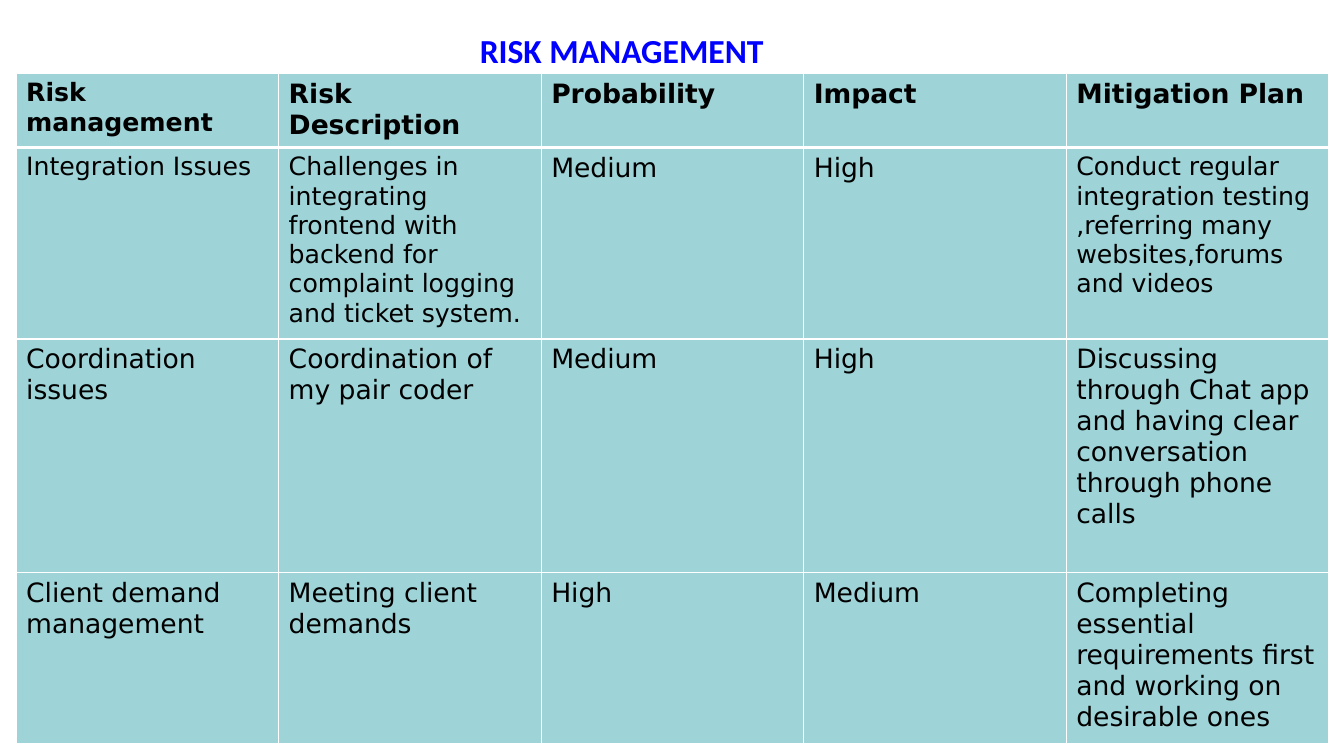
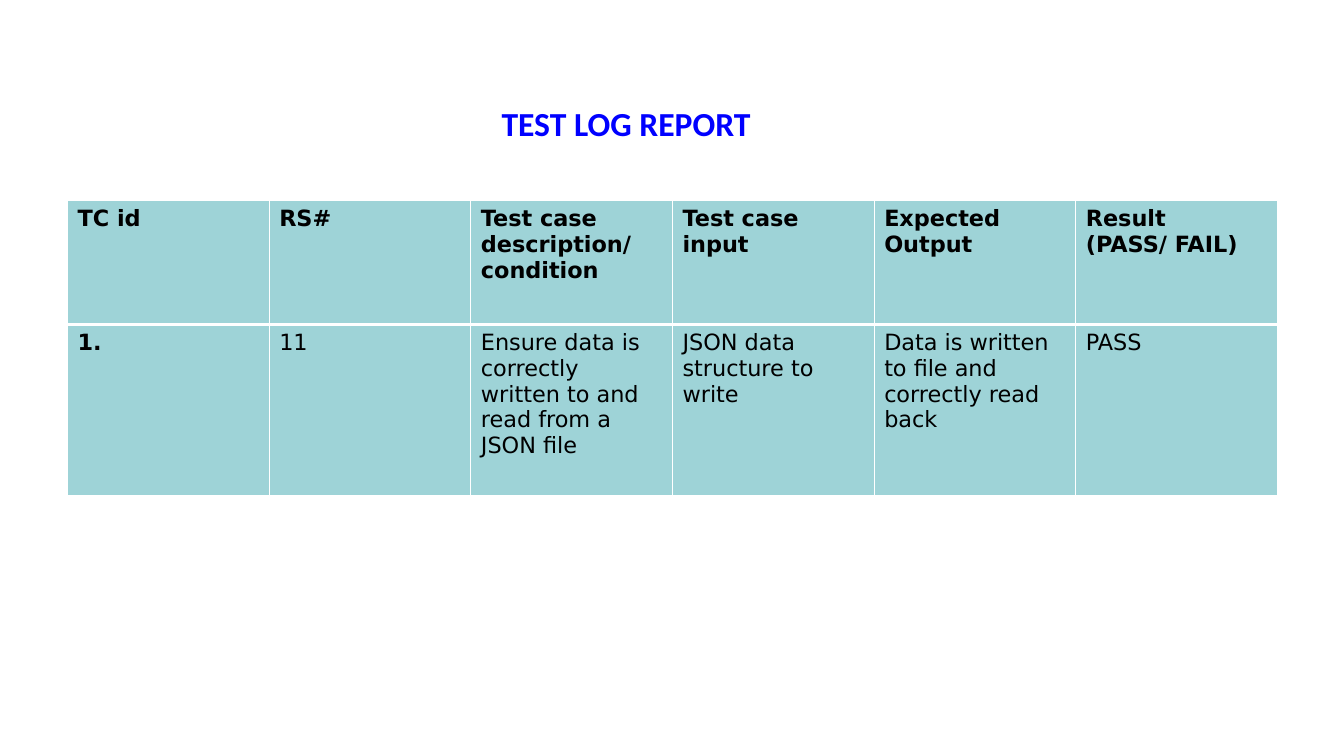
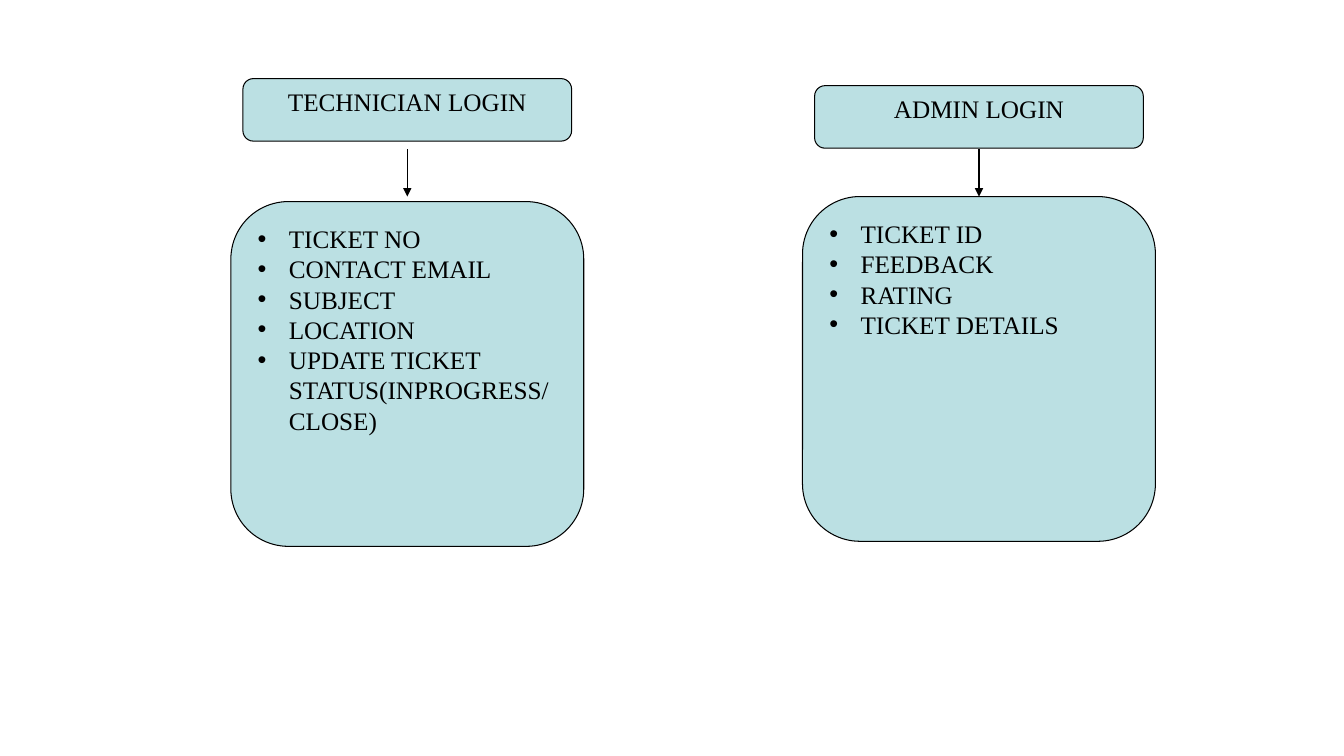
"""Build three project slides: a risk table, a test log and two login flows."""
from lxml import etree
from pptx import Presentation
from pptx.dml.color import RGBColor
from pptx.enum.shapes import MSO_CONNECTOR, MSO_SHAPE
from pptx.enum.text import MSO_ANCHOR, PP_ALIGN
from pptx.oxml.ns import qn
from pptx.util import Inches, Pt

LEFT, CENTER = PP_ALIGN.LEFT, PP_ALIGN.CENTER
TOP = MSO_ANCHOR.TOP
ROUNDED = MSO_SHAPE.ROUNDED_RECTANGLE
STRAIGHT = MSO_CONNECTOR.STRAIGHT

COLORS = {"title": "0000FF", "text": "000000", "cell": "9ED3D7",
          "border": "FFFFFF", "box": "BBE0E3", "line": "000000"}
TITLE_FONT = {"name": "Calibri", "size": Pt(24), "bold": True}
TABLE_FONT = {"name": "DejaVu Sans"}
FLOW_FONT = {"name": "Times New Roman", "size": Pt(18)}

TABLE_SLIDES = [
    {
        "title": "RISK MANAGEMENT",
        "title_at": (4.66, 0.25, 3.31, 0.5),
        "align": LEFT,
        "table_at": (0.16, 0.73, 13.02),
        "row_heights": [0.73, 1.9, 2.32, 1.69],
        "size": 19,
        "small_size": 18,
        "small_cells": {(0, 0), (1, 0), (1, 1), (1, 4)},
        "bold_cells": set(),
        "rows": [
            ["Risk management", "Risk Description", "Probability", "Impact",
             "Mitigation Plan"],
            ["Integration Issues",
             "Challenges in integrating frontend with backend for complaint "
             "logging and ticket system.",
             "Medium", "High",
             "Conduct regular integration testing\n"
             ",referring many websites,forums and videos"],
            ["Coordination issues", "Coordination of my pair coder", "Medium",
             "High",
             "Discussing through Chat app and having clear conversation "
             "through phone calls"],
            ["Client demand management", "Meeting client demands", "High",
             "Medium",
             "Completing essential requirements first and working on "
             "desirable ones"],
        ],
    },
    {
        "title": "TEST LOG REPORT",
        "title_at": (0.21, 0.97, 12, 0.75),
        "align": CENTER,
        "table_at": (0.67, 1.99, 12),
        "row_heights": [1.23, 1.7],
        "size": 16,
        "small_size": 16,
        "small_cells": set(),
        "bold_cells": {(1, 0)},
        "rows": [
            ["TC id", "RS#", "Test case description/\ncondition",
             "Test case input", "Expected\nOutput", "Result\n(PASS/ FAIL)"],
            ["1.", "11",
             "Ensure data is correctly written to and read from a JSON file",
             "JSON data structure to write",
             "Data is written to file and correctly read back", "PASS"],
        ],
    },
]

FLOWS = [
    {"center": 4.04, "label_top": 0.78, "box_top": 2,
     "label": "TECHNICIAN LOGIN",
     "items": ["TICKET NO", "CONTACT EMAIL", "SUBJECT", "LOCATION",
               "UPDATE TICKET STATUS(INPROGRESS/CLOSE)"]},
    {"center": 9.71, "label_top": 0.85, "box_top": 1.95,
     "label": "ADMIN LOGIN",
     "items": ["TICKET ID", "FEEDBACK", "RATING", "TICKET DETAILS"]},
]
LABEL_SIZE = (3.26, 0.62)
BOX_SIZE = (3.5, 3.42)
ARROW_SPAN = (1.48, 1.95)
BULLET_INDENT = 0.31


def color(name):
    return RGBColor.from_string(COLORS[name])


def write(frame, lines, font, color_name="text", align=LEFT):
    frame.word_wrap = True
    for index, line in enumerate(lines):
        paragraph = frame.add_paragraph() if index else frame.paragraphs[0]
        paragraph.alignment = align
        run = paragraph.add_run()
        run.text = line
        run.font.color.rgb = color(color_name)
        for attribute, value in font.items():
            setattr(run.font, attribute, value)


def set_borders(cell, bottom_width):
    properties = cell._tc.get_or_add_tcPr()
    widths = {"a:lnL": 1, "a:lnR": 1, "a:lnT": 1, "a:lnB": bottom_width}
    for position, (tag, width) in enumerate(widths.items()):
        border = etree.Element(qn(tag), w=str(Pt(width)))
        fill = etree.SubElement(border, qn("a:solidFill"))
        etree.SubElement(fill, qn("a:srgbClr"), val=COLORS["border"])
        properties.insert(position, border)


def add_title(slide, content):
    box = slide.shapes.add_textbox(*map(Inches, content["title_at"]))
    write(box.text_frame, [content["title"]], TITLE_FONT, "title",
          content["align"])


def add_table(slide, content):
    rows, heights = content["rows"], content["row_heights"]
    place = (*content["table_at"], sum(heights))
    table = slide.shapes.add_table(len(rows), len(rows[0]),
                                   *map(Inches, place)).table
    for row_index, (texts, height) in enumerate(zip(rows, heights)):
        table.rows[row_index].height = Inches(height)
        header = row_index == 0
        for column_index, text in enumerate(texts):
            key = (row_index, column_index)
            cell = table.cell(*key)
            cell.fill.solid()
            cell.fill.fore_color.rgb = color("cell")
            set_borders(cell, 3 if header else 1)
            small = key in content["small_cells"]
            size = content["small_size" if small else "size"]
            font = {**TABLE_FONT, "size": Pt(size),
                    "bold": header or key in content["bold_cells"]}
            write(cell.text_frame, text.split("\n"), font)


def add_box(slide, center, top, size, lines, align):
    width, height = size
    place = (center - width / 2, top, width, height)
    shape = slide.shapes.add_shape(ROUNDED, *map(Inches, place))
    shape.shadow.inherit = False
    shape.fill.solid()
    shape.fill.fore_color.rgb = color("box")
    shape.line.color.rgb = color("line")
    shape.line.width = Pt(0.75)
    shape.text_frame.vertical_anchor = TOP
    write(shape.text_frame, lines, FLOW_FONT, align=align)
    return shape


def add_bullets(shape):
    indent = Inches(BULLET_INDENT)
    for paragraph in shape.text_frame.paragraphs:
        properties = paragraph._p.get_or_add_pPr()
        properties.set("marL", str(indent))
        properties.set("indent", str(-indent))
        etree.SubElement(properties, qn("a:buFont"), typeface="Arial")
        etree.SubElement(properties, qn("a:buChar"), char="•")


def add_arrow(slide, center):
    start, end = ARROW_SPAN
    arrow = slide.shapes.add_connector(
        STRAIGHT, *map(Inches, (center, start, center, end)))
    arrow.line.color.rgb = color("line")
    arrow.line.width = Pt(0.75)
    etree.SubElement(arrow.line._get_or_add_ln(), qn("a:tailEnd"),
                     type="triangle")
    etree.SubElement(arrow._element.spPr, qn("a:effectLst"))


def add_flow(slide, flow):
    center = flow["center"]
    add_box(slide, center, flow["label_top"], LABEL_SIZE, [flow["label"]],
            CENTER)
    add_bullets(add_box(slide, center, flow["box_top"], BOX_SIZE,
                        flow["items"], LEFT))
    add_arrow(slide, center)


def main():
    presentation = Presentation()
    presentation.slide_width = Inches(13.33)
    presentation.slide_height = Inches(7.5)
    blank = presentation.slide_layouts[6]
    for content in TABLE_SLIDES:
        slide = presentation.slides.add_slide(blank)
        add_title(slide, content)
        add_table(slide, content)
    slide = presentation.slides.add_slide(blank)
    for flow in FLOWS:
        add_flow(slide, flow)
    presentation.save("out.pptx")


if __name__ == "__main__":
    main()
